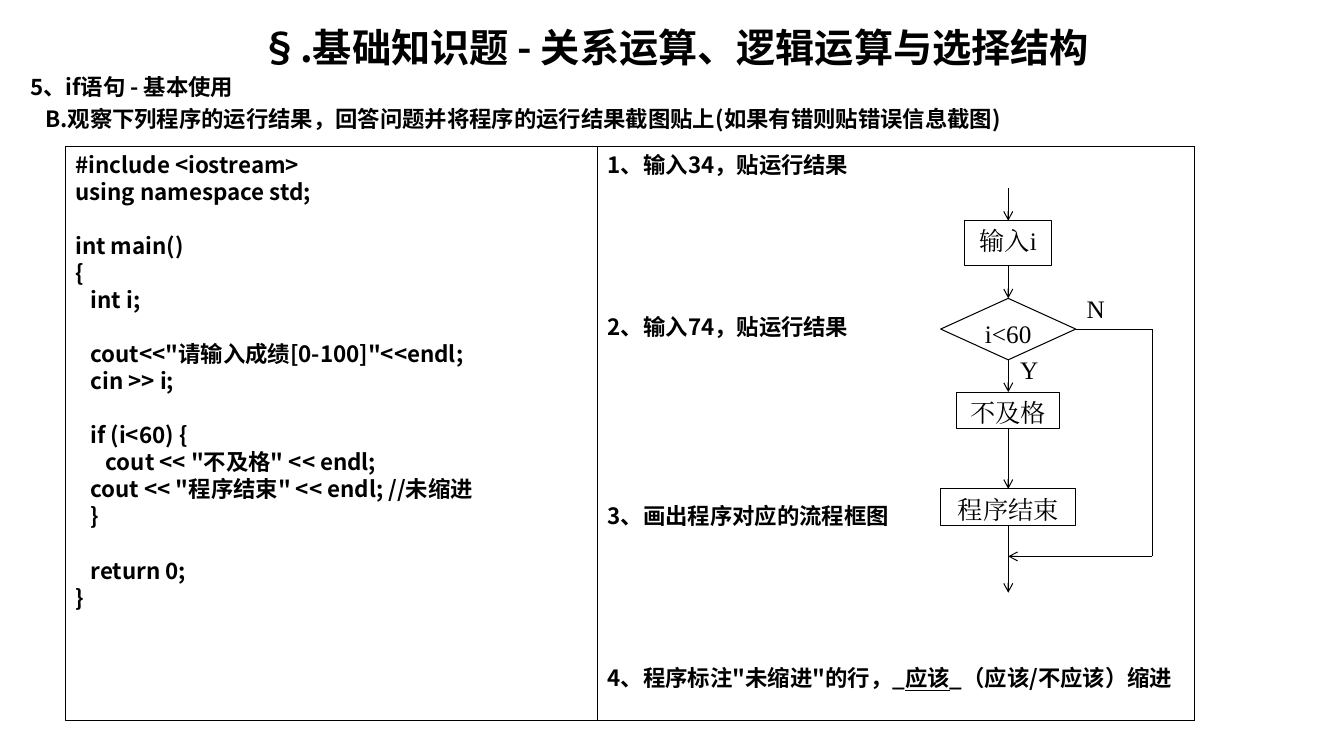
from lxml import etree
from pptx import Presentation
from pptx.dml.color import RGBColor
from pptx.enum.shapes import MSO_CONNECTOR, MSO_SHAPE
from pptx.enum.text import MSO_ANCHOR, MSO_AUTO_SIZE, PP_ALIGN
from pptx.oxml.ns import qn
from pptx.util import Inches, Pt

RECT = MSO_SHAPE.RECTANGLE
PROCESS = MSO_SHAPE.FLOWCHART_PROCESS
CHOICE = MSO_SHAPE.FLOWCHART_DECISION
STRAIGHT = MSO_CONNECTOR.STRAIGHT
TOP = MSO_ANCHOR.TOP
LEFT, CENTER = PP_ALIGN.LEFT, PP_ALIGN.CENTER
COLORS = {"ink": "000000"}
INK = RGBColor.from_string(COLORS["ink"])
SANS, SERIF = "Noto Sans CJK SC", "Times New Roman"
PITCH = 19.3  # points from one 16 pt line to the next


def write(shape, lines, size=16, face=SANS, align=LEFT, pitch=PITCH, wrap=True):
    """Fill shape with (gap in points, text) lines; text between ~ is underlined."""
    frame = shape.text_frame
    frame.word_wrap = wrap
    frame.auto_size = MSO_AUTO_SIZE.NONE
    frame.vertical_anchor = TOP
    for n, (gap, text) in enumerate(lines):
        para = frame.add_paragraph() if n else frame.paragraphs[0]
        for k, part in enumerate(text.split("~")):
            run = para.add_run()
            run.text = part
            if k % 2:
                run.font.underline = True
        para.alignment = align
        para.space_before = Pt(gap)
        if pitch:
            para.line_spacing = Pt(pitch)
        font = para.font
        font.size, font.name, font.bold = Pt(size), face, face == SANS
        font.color.rgb = INK
        base = para._p.pPr.find(qn("a:defRPr"))
        east = etree.Element(qn("a:ea"), typeface=face)
        base.find(qn("a:latin")).addnext(east)


def link(x1, y1, x2, y2, start=None, end=None, arrow=True):
    """Draw a flow line, joined to (shape, site) at either end if given."""
    line = slide.shapes.add_connector(
        STRAIGHT, Inches(x1), Inches(y1), Inches(x2), Inches(y2))
    if start:
        line.begin_connect(*start)
    if end:
        line.end_connect(*end)
    line.line.color.rgb = INK
    line.line.width = Pt(0.75)
    if arrow:
        etree.SubElement(line.line._get_or_add_ln(), qn("a:tailEnd"), type="arrow")
    etree.SubElement(line._element.spPr, qn("a:effectLst"))


deck = Presentation()
deck.slide_width, deck.slide_height = Inches(13.33), Inches(7.5)
slide = deck.slides.add_slide(deck.slide_layouts[5])

# Heading
title = slide.shapes.title
title.left, title.top = Inches(0.2), Inches(0.18)
title.width, title.height = Inches(12.99), Inches(0.55)
write(title, [(0, "§.基础知识题 - 关系运算、逻辑运算与选择结构")], 28, align=CENTER, pitch=33.7)

intro = slide.shapes.add_textbox(Inches(0.2), Inches(0.68), Inches(12.99), Inches(0.7))
write(intro, [
    (0, "5、if语句 - 基本使用"),
    (3.2, "B.观察下列程序的运行结果，回答问题并将程序的运行结果截图贴上(如果有错则贴错误信息截图)"),
])
intro.text_frame.paragraphs[1]._p.pPr.set("marL", str(Inches(0.15)))

# Code and questions
code = [
    (0, "#include <iostream>"),
    (0, "using namespace std;"),
    (PITCH, "int main()"),
    (0, "{"),
    (0, "   int i;"),
    (PITCH, '   cout<<"请输入成绩[0-100]"<<endl;'),
    (0, "   cin >> i;"),
    (PITCH, "   if (i<60) {"),
    (0, '      cout << "不及格" << endl;'),
    (0, '   cout << "程序结束" << endl; //未缩进'),
    (0, "   }"),
    (PITCH, "   return 0;"),
    (0, "}"),
]
tasks = [
    (0, "1、输入34，贴运行结果"),
    (5 * PITCH, "2、输入74，贴运行结果"),
    (6 * PITCH, "3、画出程序对应的流程框图"),
    (5 * PITCH, '4、程序标注"未缩进"的行，_~应该~_（应该/不应该）缩进'),
]
for x, width, lines in [(0.65, 11.2, code), (5.93, 5.92, tasks)]:
    panel = slide.shapes.add_shape(RECT, Inches(x), Inches(1.45), Inches(width), Inches(5.7))
    panel.shadow.inherit = False
    panel.fill.background()
    panel.line.color.rgb = INK
    panel.line.width = Pt(0.75)
    write(panel, lines)

# Flow chart, centred on one vertical axis
AXIS, SIDE, MERGE = 10, 11.43, 5.52
steps = [
    (RECT, 2.19, 0.86, 0.44, "输入i"),
    (CHOICE, 2.96, 1.34, 0.61, "i<60"),
    (PROCESS, 3.89, 1.02, 0.36, "不及格"),
    (PROCESS, 4.85, 1.34, 0.36, "程序结束"),
]
last, foot = None, 1.87
for kind, y, width, height, text in steps:
    node = slide.shapes.add_shape(
        kind, Inches(AXIS - width / 2), Inches(y), Inches(width), Inches(height))
    node.shadow.inherit = False
    node.fill.background()
    node.line.color.rgb = INK
    node.line.width = Pt(0.75)
    write(node, [(0, text)], 18, SERIF, CENTER, None, False)
    link(AXIS, foot, AXIS, y, last, (node, 0))
    last, foot = (node, 2), y + height
    if kind == CHOICE:
        test, exit_x, exit_y = node, AXIS + width / 2, y + height / 2
link(AXIS, foot, AXIS, 5.88, last)

link(exit_x, exit_y, SIDE, exit_y, (test, 3), arrow=False)
link(SIDE, exit_y, SIDE, MERGE, arrow=False)
link(SIDE, MERGE, AXIS, MERGE)

for x, y, width, text in [(10.02, 3.47, 0.32, "Y"), (10.68, 2.86, 0.57, "N")]:
    label = slide.shapes.add_textbox(Inches(x), Inches(y), Inches(width), Inches(0.4))
    write(label, [(0, text)], 18, SERIF, pitch=None)

deck.save("out.pptx")
